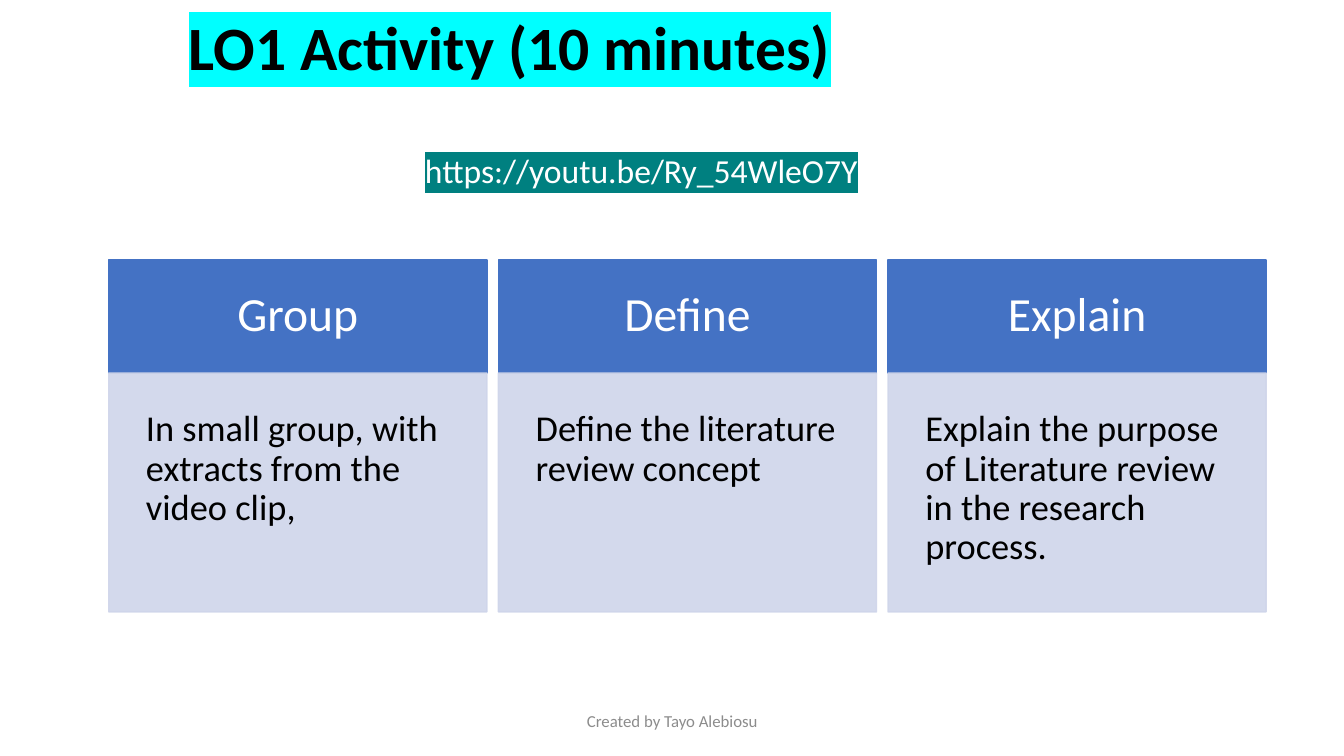
from lxml.etree import SubElement
from pptx import Presentation
from pptx.dml.color import RGBColor
from pptx.enum.shapes import MSO_SHAPE as Shape
from pptx.enum.text import MSO_ANCHOR as Anchor, MSO_AUTO_SIZE as AutoSize, PP_ALIGN as Align
from pptx.oxml.ns import qn
from pptx.util import Cm, Pt

TITLE = "LO1 Activity (10 minutes)"
VIDEO = "https://youtu.be/Ry_54WleO7Y"
FOOTER = "Created by Tayo Alebiosu"
STEPS = [
    ("Group", "In small group, with extracts from the video clip,"),
    ("Define", "Define the literature review concept"),
    ("Explain", "Explain the purpose of Literature review in the research process."),
]

BLACK = RGBColor(0x00, 0x00, 0x00)
WHITE = RGBColor(0xFF, 0xFF, 0xFF)
GRAY = RGBColor(0x8C, 0x8C, 0x8C)
CYAN = RGBColor(0x00, 0xFF, 0xFF)
TEAL = RGBColor(0x00, 0x80, 0x80)
BLUE = RGBColor(0x44, 0x72, 0xC4)
PALE = RGBColor(0xCF, 0xD5, 0xEA)

LEFT, TOP, PITCH, WIDTH = 2.74, 6.55, 9.82, 9.53
HEAD_HEIGHT, BODY_HEIGHT = 2.85, 6.02


def write(box, text, size, color, align=Align.LEFT, anchor=Anchor.TOP,
          spacing=1.0, inset=None, bold=False, highlight=None):
    frame = box.text_frame
    frame.word_wrap = True
    frame.auto_size = AutoSize.NONE
    frame.vertical_anchor = anchor
    if inset is not None:
        frame.margin_left = frame.margin_right = Cm(inset)
        frame.margin_top = frame.margin_bottom = Cm(inset)
    para = frame.paragraphs[0]
    para.alignment = align
    para.line_spacing = spacing
    span = para.add_run()
    span.text = text
    span.font.size = Pt(size)
    span.font.bold = bold
    span.font.color.rgb = color
    if highlight is not None:
        mark = SubElement(span.font._element, qn("a:highlight"))
        SubElement(mark, qn("a:srgbClr"), val=str(highlight))
    span.font.name = "Calibri"


def add_panel(page, left, top, height, color, opacity=100):
    panel = page.shapes.add_shape(
        Shape.RECTANGLE, Cm(left), Cm(top), Cm(WIDTH), Cm(height))
    panel.shadow.inherit = False
    panel.fill.solid()
    panel.fill.fore_color.rgb = color
    panel.line.color.rgb = color
    panel.line.width = Pt(1)
    if opacity < 100:
        for shade in panel._element.spPr.iter(qn("a:srgbClr")):
            SubElement(shade, qn("a:alpha"), val=str(opacity * 1000))
    return panel


def main():
    deck = Presentation()
    deck.slide_width, deck.slide_height = Cm(33.87), Cm(19.05)
    page = deck.slides.add_slide(deck.slide_layouts[5])

    title = page.shapes.title
    title.left, title.top, title.width, title.height = Cm(4.09), Cm(0.28), Cm(17.53), Cm(2)
    write(title, TITLE, 44, BLACK, Align.CENTER, Anchor.MIDDLE, 0.9,
          bold=True, highlight=CYAN)

    video = page.shapes.add_textbox(Cm(10.46), Cm(3.66), Cm(12.4), Cm(1.28))
    write(video, VIDEO, 24, WHITE, highlight=TEAL)

    for index, (heading, task) in enumerate(STEPS):
        left = LEFT + index * PITCH
        head = add_panel(page, left, TOP, HEAD_HEIGHT, BLUE)
        write(head, heading, 34, WHITE, Align.CENTER, Anchor.MIDDLE, 0.9, 0.76)
        body = add_panel(page, left, TOP + HEAD_HEIGHT, BODY_HEIGHT, PALE, 90)
        write(body, task, 26, BLACK, spacing=0.9, inset=0.94)

    footer = page.shapes.add_textbox(Cm(11.23), Cm(17.65), Cm(11.43), Cm(1.02))
    write(footer, FOOTER, 12, GRAY, Align.CENTER, Anchor.MIDDLE)

    deck.save("out.pptx")


if __name__ == "__main__":
    main()
